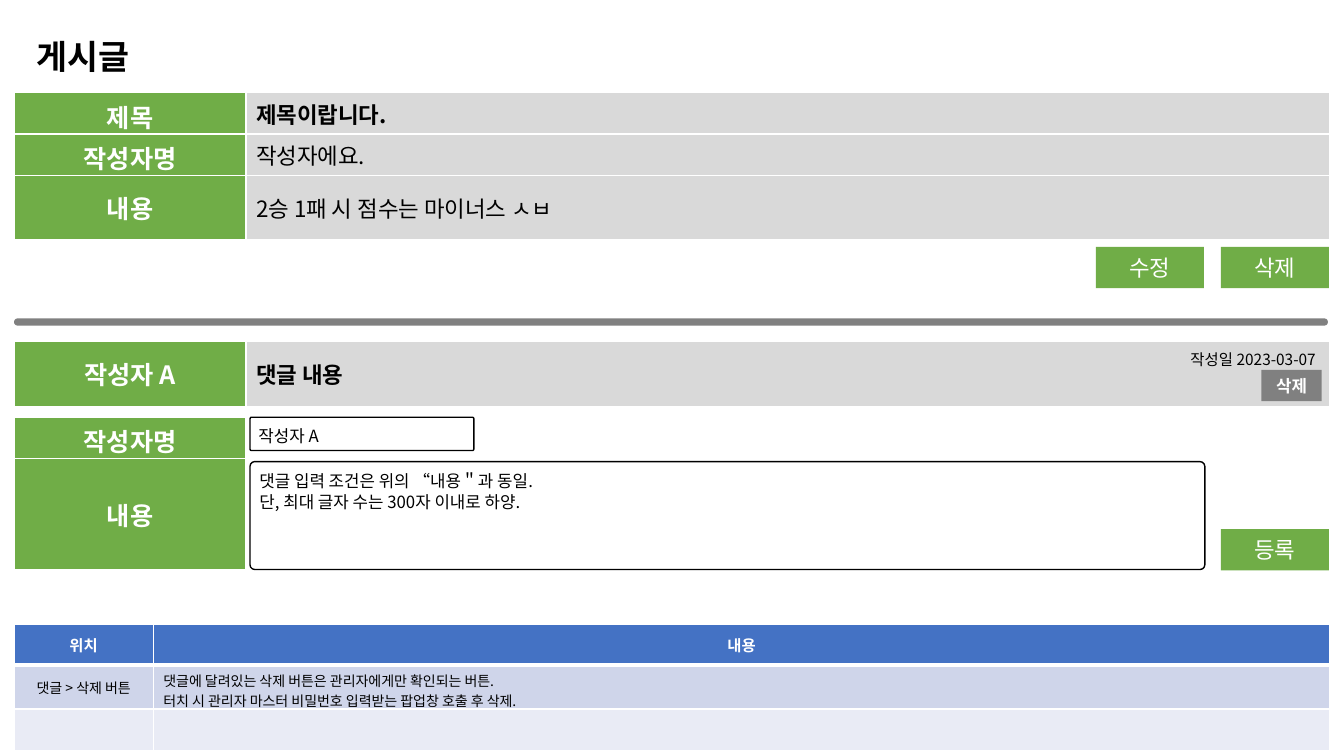
from dataclasses import dataclass
from typing import Any

from lxml import etree
from pptx import Presentation
from pptx.dml.color import RGBColor
from pptx.enum.shapes import MSO_SHAPE
from pptx.enum.text import MSO_ANCHOR, MSO_AUTO_SIZE, PP_ALIGN
from pptx.oxml.ns import qn
from pptx.util import Emu, Pt

RECTANGLE, ROUNDED = MSO_SHAPE.RECTANGLE, MSO_SHAPE.ROUNDED_RECTANGLE
LEFT, CENTER, RIGHT = PP_ALIGN.LEFT, PP_ALIGN.CENTER, PP_ALIGN.RIGHT
TOP, MIDDLE = MSO_ANCHOR.TOP, MSO_ANCHOR.MIDDLE
GROW = MSO_AUTO_SIZE.SHAPE_TO_FIT_TEXT

PX = 9144
FONT = "Noto Sans CJK KR"
GREEN, GRAY, SILVER = "70AD47", "808080", "D9D9D9"
BLUE, PALE, PALER = "4472C4", "CFD5EA", "E9EBF5"
WHITE, BLACK = "FFFFFF", "000000"


@dataclass(frozen=True)
class Style:
    size: int
    color: str = BLACK
    bold: bool = False
    align: Any = LEFT
    anchor: Any = MIDDLE


@dataclass(frozen=True)
class Box:
    left: int
    top: int
    width: int
    height: int
    text: str
    style: Style
    fill: str = GREEN


@dataclass(frozen=True)
class Cell:
    text: str
    style: Style
    fill: str


@dataclass(frozen=True)
class Grid:
    left: int
    top: int
    height: int
    columns: list[int]
    rows: list[int]
    cells: list[list[Cell]]
    side_border: float = 2.25
    header_border: float = 1


LABEL = Style(18, WHITE, True, CENTER)
HEADLINE = Style(16, bold=True)
BODY = Style(16)
BUTTON = Style(16, WHITE, align=CENTER)
SMALL_BUTTON = Style(12, WHITE, True, CENTER)
INPUT = Style(12, anchor=TOP)
HEADER = Style(11, WHITE, True, CENTER)
NOTE = Style(10, anchor=TOP)
NOTE_PLACE = Style(10, align=CENTER)
DATE = Style(11, align=RIGHT, anchor=TOP)
TITLE = Style(24, bold=True, anchor=TOP)


def px(value: int) -> Emu:
    return Emu(value * PX)


def rgb(color: str) -> RGBColor:
    return RGBColor.from_string(color)


def paint(target: Any, color: str) -> None:
    target.fill.solid()
    target.fill.fore_color.rgb = rgb(color)


def write(frame: Any, text: str, style: Style) -> None:
    for index, line in enumerate(text.split("\n")):
        para = frame.add_paragraph() if index else frame.paragraphs[0]
        para.alignment = style.align
        span = para.add_run()
        span.text = line
        values = {"size": Pt(style.size), "bold": style.bold, "name": FONT}
        for name, value in values.items():
            setattr(span.font, name, value)
        span.font.color.rgb = rgb(style.color)
        etree.SubElement(span.font._element, qn("a:ea"), typeface=FONT)


def draw_box(page: Any, box: Box, kind: Any = RECTANGLE) -> Any:
    shape = page.shapes.add_shape(kind, *map(px, (box.left, box.top, box.width, box.height)))
    shape.shadow.inherit = False
    paint(shape, box.fill)
    shape.line.fill.background()
    shape.text_frame.vertical_anchor = box.style.anchor
    if box.text:
        write(shape.text_frame, box.text, box.style)
    return shape


def draw_input(page: Any, box: Box) -> None:
    shape = draw_box(page, box, ROUNDED)
    shape.adjustments[0] = 0.044
    shape.line.color.rgb = rgb(BLACK)
    shape.line.width = Pt(1)
    for side in ("left", "top", "right", "bottom"):
        setattr(shape.text_frame, f"margin_{side}", px(8))


def draw_border(cell: Any, widths: dict[str, float]) -> None:
    properties = cell._tc.get_or_add_tcPr()
    for index, (side, width) in enumerate(widths.items()):
        line = etree.Element(qn(f"a:{side}"), w=str(int(Pt(width))))
        fill = etree.SubElement(line, qn("a:solidFill"))
        etree.SubElement(fill, qn("a:srgbClr"), val=WHITE)
        properties.insert(index, line)


def draw_grid(page: Any, grid: Grid) -> None:
    holder = page.shapes.add_table(
        len(grid.rows), len(grid.columns),
        px(grid.left), px(grid.top), px(sum(grid.columns)), px(grid.height),
    )
    table = holder.table
    table.horz_banding = False
    for column, width in zip(table.columns, grid.columns):
        column.width = px(width)
    for row, height in zip(table.rows, grid.rows):
        row.height = px(height)
    holder.height = px(grid.height)
    for r, entries in enumerate(grid.cells):
        for c, entry in enumerate(entries):
            cell = table.cell(r, c)
            paint(cell, entry.fill)
            cell.vertical_anchor = entry.style.anchor
            if entry.text:
                write(cell.text_frame, entry.text, entry.style)
            draw_border(cell, {
                "lnL": grid.side_border,
                "lnR": grid.side_border,
                "lnT": grid.header_border if r == 1 else 1,
                "lnB": grid.header_border if r == 0 else 1,
            })


def draw_label(page: Any, shape: Any, text: str, style: Style) -> None:
    frame = shape.text_frame
    values = {"word_wrap": True, "auto_size": GROW, "vertical_anchor": style.anchor}
    for name, value in values.items():
        setattr(frame, name, value)
    write(frame, text, style)


def label(text: str) -> Cell:
    return Cell(text, LABEL, GREEN)


GRIDS = [
    Grid(14, 92, 145, [230, 1075], [41, 41, 64], [
        [label("제목"), Cell("제목이랍니다.", HEADLINE, SILVER)],
        [label("작성자명"), Cell("작성자에요.", BODY, SILVER)],
        [label("내용"), Cell("2승 1패 시 점수는 마이너스 ㅅㅂ", BODY, SILVER)],
    ]),
    Grid(14, 339, 64, [230, 1075], [64], [
        [label("작성자 A"), Cell("댓글 내용", HEADLINE, SILVER)],
    ]),
    Grid(14, 414, 151, [230], [41, 110], [[label("작성자명")], [label("내용")]]),
    Grid(14, 619, 124, [138, 1167], [41, 0, 41], [
        [Cell("위치", HEADER, BLUE), Cell("내용", HEADER, BLUE)],
        [
            Cell("댓글 > 삭제 버튼", NOTE_PLACE, PALE),
            Cell("댓글에 달려있는 삭제 버튼은 관리자에게만 확인되는 버튼.\n"
                 "터치 시 관리자 마스터 비밀번호 입력받는 팝업창 호출 후 삭제.", NOTE, PALE),
        ],
        [Cell("", NOTE, PALER), Cell("", NOTE, PALER)],
    ], side_border=1, header_border=3),
]
BUTTONS = [
    Box(1211, 245, 107, 41, "삭제", BUTTON),
    Box(1087, 245, 107, 41, "수정", BUTTON),
    Box(1211, 525, 107, 41, "등록", BUTTON),
    Box(1251, 367, 60, 31, "삭제", SMALL_BUTTON, GRAY),
]
INPUTS = [
    Box(248, 458, 947, 107, "댓글 입력 조건은 위의 “내용＂과 동일.\n"
        "단, 최대 글자 수는 300자 이내로 하양.", INPUT, WHITE),
    Box(248, 414, 222, 33, "작성자 A", INPUT, WHITE),
]
DIVIDER = Box(14, 316, 1303, 7, "", BODY, GRAY)


def main() -> None:
    deck = Presentation()
    deck.slide_width, deck.slide_height = px(1333), px(750)
    page = deck.slides.add_slide(deck.slide_layouts[5])

    title = page.shapes.title
    place = {"left": 26, "top": 31, "width": 405, "height": 50}
    for name, value in place.items():
        setattr(title, name, px(value))
    draw_label(page, title, "게시글", TITLE)

    for grid in GRIDS:
        draw_grid(page, grid)
    draw_box(page, DIVIDER, ROUNDED).adjustments[0] = 0.447
    for button in BUTTONS:
        draw_box(page, button)
    for field in INPUTS:
        draw_input(page, field)
    date = page.shapes.add_textbox(px(1096), px(342), px(219), px(29))
    draw_label(page, date, "작성일 2023-03-07", DATE)

    deck.save("out.pptx")


if __name__ == "__main__":
    main()
